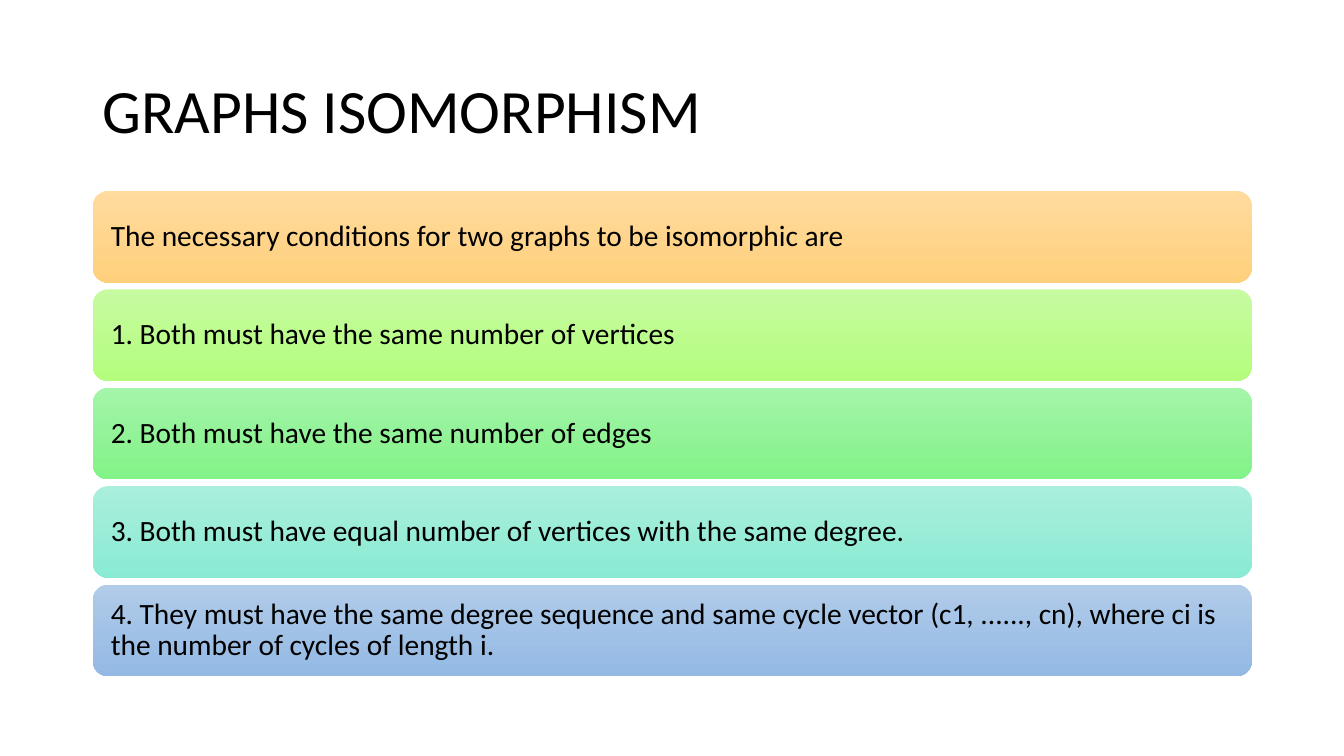
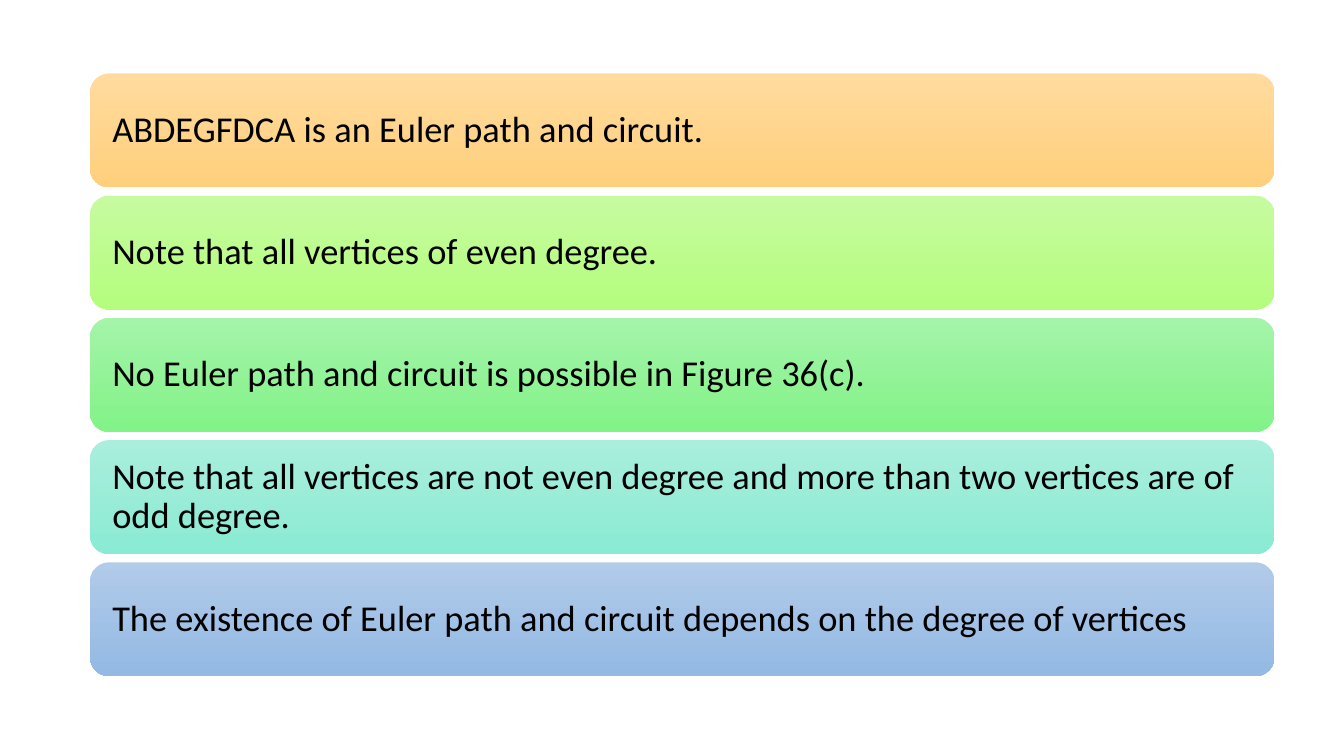
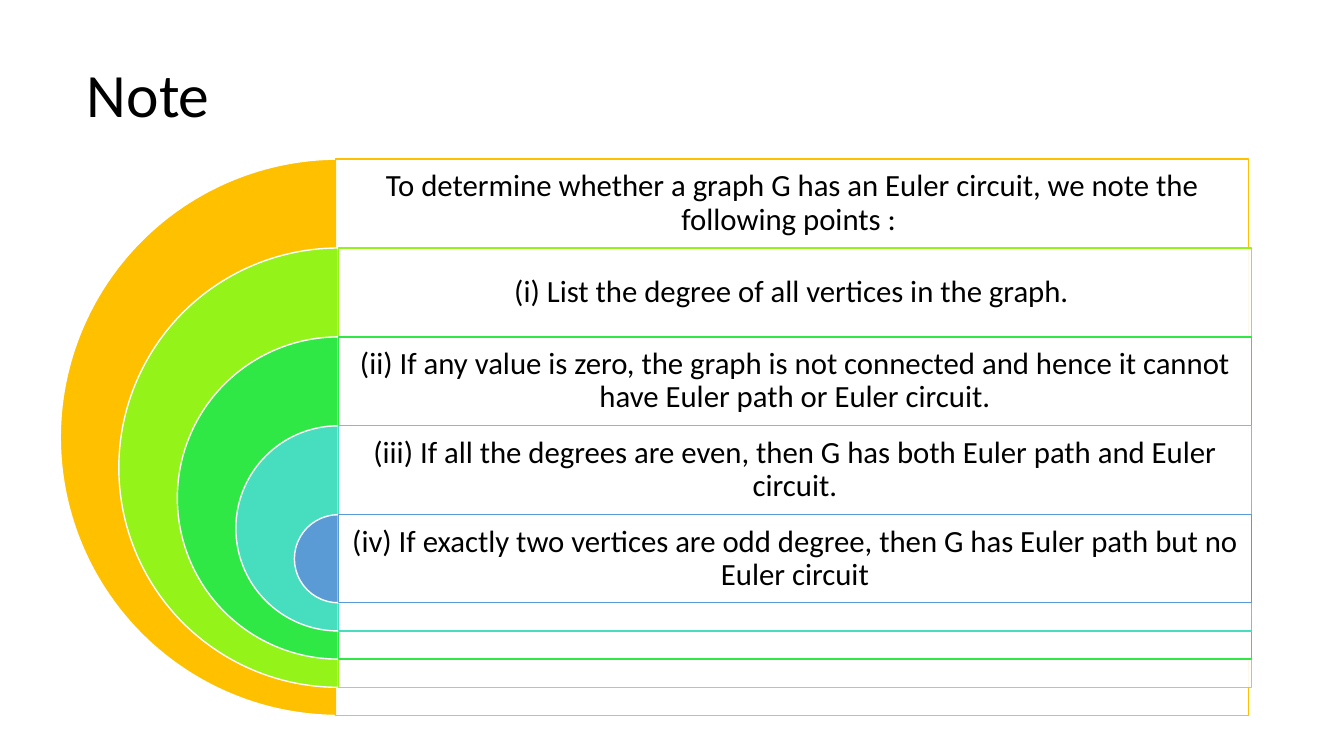
from pptx import Presentation
from pptx.dml.color import RGBColor
from pptx.enum.shapes import MSO_SHAPE
from pptx.enum.text import MSO_ANCHOR, PP_ALIGN
from pptx.util import Cm, Pt
from lxml.etree import SubElement
from pptx.oxml.ns import qn

FONT = "Calibri"
HEX = {
    "ink": "000000",
    "paper": "FFFFFF",
    "tops": ["FFDB9E", "C6FBA0", "A4F4A9", "AAEEDD", "B1CBE9"],
    "ends": ["FFD07C", "B4FD7D", "82F388", "89EBD3", "93B9E4"],
    "rings": ["FFC000", "94F319", "30E845", "46DEBF", "5B9BD5"],
}


def write(shape, text, size, inset, align=PP_ALIGN.LEFT):
    frame = shape.text_frame
    frame.word_wrap = True
    frame.vertical_anchor = MSO_ANCHOR.MIDDLE
    frame.margin_left = frame.margin_right = Cm(inset)
    frame.margin_top = frame.margin_bottom = Cm(inset)
    para = frame.paragraphs[0]
    para.alignment = align
    para.line_spacing = 0.9
    run = para.add_run()
    run.text = text
    run.font.name = FONT
    run.font.size = Pt(size)
    run.font.color.rgb = RGBColor.from_string(HEX["ink"])


def draw(slide, kind, box, fill, line):
    shape = slide.shapes.add_shape(kind, *map(Cm, box))
    shape.shadow.inherit = False
    shape.fill.solid()
    shape.fill.fore_color.rgb = RGBColor.from_string(fill)
    shape.line.color.rgb = RGBColor.from_string(line)
    shape.line.width = Pt(1)
    return shape


deck = Presentation()
deck.slide_width, deck.slide_height = Cm(33.87), Cm(19.05)
blank = deck.slide_layouts[6]
slides = [deck.slides.add_slide(blank) for _ in range(3)]

titles = [
    (slides[0], "GRAPHS ISOMORPHISM", 2.34, 1.01),
    (slides[2], "Note", 1.94, 0.63),
]
for slide, text, left, top in titles:
    title = slide.shapes.add_textbox(Cm(left), Cm(top), Cm(29.21), Cm(3.68))
    write(title, text, 44, 0.25)

lists = [
    (slides[0], 2.34, 4.81, 29.21, 2.31, 2.48, 21, 0.34, [
        "The necessary conditions for two graphs to be isomorphic are",
        "1. Both must have the same number of vertices",
        "2. Both must have the same number of edges",
        "3. Both must have equal number of vertices with the same degree.",
        "4. They must have the same degree sequence and same cycle vector "
        "(c1, ......, cn), where ci is the number of cycles of length i.",
    ]),
    (slides[1], 2.27, 1.85, 29.85, 2.87, 3.08, 26, 0.42, [
        "ABDEGFDCA is an Euler path and circuit.",
        "Note that all vertices of even degree.",
        "No Euler path and circuit is possible in Figure 36(c).",
        "Note that all vertices are not even degree and more than two "
        "vertices are of odd degree.",
        "The existence of Euler path and circuit depends on the degree of vertices",
    ]),
]
for slide, left, top, width, height, pitch, size, inset, lines in lists:
    for i, text in enumerate(lines):
        bar = slide.shapes.add_shape(
            MSO_SHAPE.ROUNDED_RECTANGLE,
            Cm(left), Cm(top + i * pitch), Cm(width), Cm(height))
        bar.shadow.inherit = False
        bar.fill.gradient()
        bar.fill.gradient_angle = 270
        for stop, key, spot in zip(bar.fill.gradient_stops, ("tops", "ends"), (0, 1)):
            stop.color.rgb = RGBColor.from_string(HEX[key][i])
            stop.position = spot
        bar.line.fill.background()
        write(bar, text, size, inset)

notes = [
    "To determine whether a graph G has an Euler circuit, we note the following points : ",
    "(i) List the degree of all vertices in the graph. ",
    "(ii) If any value is zero, the graph is not connected and hence it "
    "cannot have Euler path or Euler circuit.",
    "(iii) If all the degrees are even, then G has both Euler path and Euler circuit.",
    "(iv) If exactly two vertices are odd degree, then G has Euler path but no Euler circuit",
]
slide = slides[2]
axis, wide, row = 8.53, 23.01, 2.24
for i, (text, tint) in enumerate(zip(notes, HEX["rings"])):
    top = 4.01 + i * row
    span = 14.02 - i * 2.95
    left = axis if i else 8.46
    ring = draw(slide, MSO_SHAPE.PIE, (axis - span / 2, top, span, span),
                tint, HEX["paper"])
    ring.adjustments[0], ring.adjustments[1] = 54, 162
    panel = draw(slide, MSO_SHAPE.RECTANGLE, (left, top, wide, span),
                 HEX["paper"], tint)
    color = panel.fill._xPr.find(qn("a:solidFill"))[0]
    SubElement(color, qn("a:alpha")).set("val", "90000")
    label = slide.shapes.add_textbox(Cm(left), Cm(top), Cm(wide), Cm(row))
    write(label, text, 22, 0.23, PP_ALIGN.CENTER)

deck.save("out.pptx")
